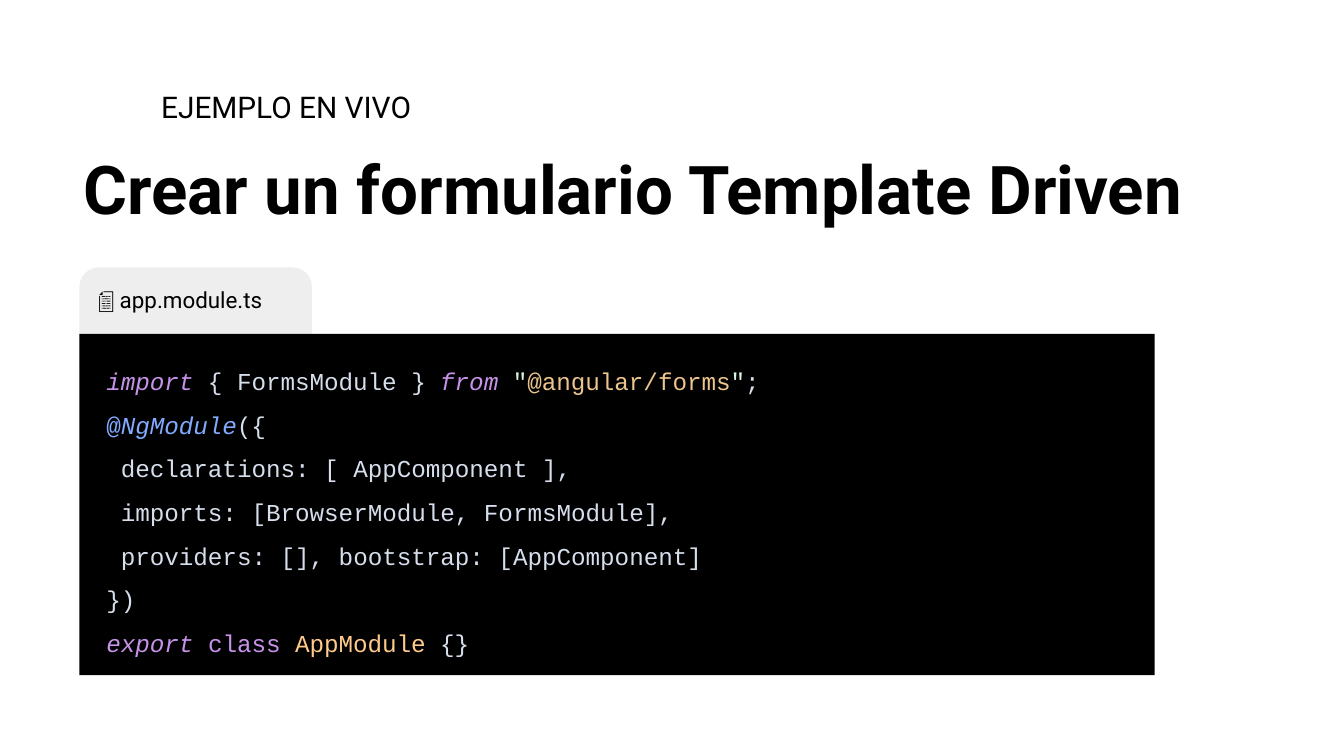
"""Build a slide showing an Angular module as a code file with a tab."""
from pptx import Presentation
from pptx.dml.color import RGBColor
from pptx.enum import shapes, text
from pptx.util import Pt

TITLE = "Crear un formulario Template Driven"
KICKER = "EJEMPLO EN VIVO"
FILE_NAME = "📄 app.module.ts"
CODE = [
    [("import", "keyword"), (" { FormsModule } ", "plain"), ("from ", "keyword"),
     ('"', "quote"), ("@angular/forms", "string"), ('"', "quote"), (";", "plain")],
    [("@", "at"), ("NgModule", "decorator"), ("({", "plain")],
    [(" declarations: [ AppComponent ],", "plain")],
    [(" imports: [BrowserModule, FormsModule],", "plain")],
    [(" providers: [], bootstrap: [AppComponent]", "plain")],
    [("})", "plain")],
    [("export ", "keyword"), ("class ", "storage"), ("AppModule", "type"), (" {}", "plain")],
]

THEME = {
    "sans": "Roboto", "mono": "Courier New",
    "title": 36, "kicker": 16, "file": 12, "code": 13,
    "ink": "000000", "tab": "EEEEEE", "panel": "000000",
    "syntax": {
        "plain": ("D6DEEB", False), "keyword": ("C792EA", True),
        "storage": ("C792EA", False), "quote": ("D9F5DD", False),
        "string": ("ECC48D", False), "at": ("82AAFF", False),
        "decorator": ("82AAFF", True), "type": ("FFCB8B", False),
    },
}

SLIDE_SIZE = (720, 405)
PAD = 7.2
PANEL_LEFT = 42.6
TITLE_BOX = (37.44, 76.6, 645.12, 54)
KICKER_BOX = (79.3, 40.32, 158.4, 33.84)
TAB_BOX = (PANEL_LEFT, 143.28, 124.56, 61.92)
PANEL_BOX = (PANEL_LEFT, 178.9, 576, 182.8)


def color(name):
    return RGBColor.from_string(THEME.get(name, name))


def set_frame(shape, anchor=text.MSO_ANCHOR.TOP, left=PAD, top=PAD):
    frame = shape.text_frame
    frame.word_wrap = True
    frame.auto_size = text.MSO_AUTO_SIZE.NONE
    frame.vertical_anchor = anchor
    frame.margin_left, frame.margin_top = Pt(left), Pt(top)
    frame.margin_right = frame.margin_bottom = Pt(PAD)
    return frame


def write_line(frame, words, size, bold=False):
    line = frame.paragraphs[0]
    line.text = words
    line.alignment = text.PP_ALIGN.LEFT
    line.font.name, line.font.size = THEME["sans"], Pt(THEME[size])
    line.font.bold = bold
    line.font.color.rgb = color("ink")
    return line


def add_block(slide, kind, box, fill):
    block = slide.shapes.add_shape(kind, *map(Pt, box))
    block.shadow.inherit = False
    block.fill.solid()
    block.fill.fore_color.rgb = color(fill)
    block.line.fill.background()
    return block


def write_code(frame):
    for number, tokens in enumerate(CODE):
        line = frame.add_paragraph() if number else frame.paragraphs[0]
        line.alignment = text.PP_ALIGN.LEFT
        line.line_spacing = 1.5
        line.font.name, line.font.size = THEME["mono"], Pt(THEME["code"])
        for words, role in tokens:
            token = line.add_run()
            token.text = words
            tint, token.font.italic = THEME["syntax"][role]
            token.font.color.rgb = color(tint)


def main():
    deck = Presentation()
    deck.slide_width, deck.slide_height = map(Pt, SLIDE_SIZE)
    slide = deck.slides.add_slide(deck.slide_layouts.get_by_name("Title Only"))

    title = slide.shapes.title
    title.left, title.top, title.width, title.height = map(Pt, TITLE_BOX)
    write_line(set_frame(title), TITLE, "title", bold=True).line_spacing = 0.9

    kicker = slide.shapes.add_textbox(*map(Pt, KICKER_BOX))
    write_line(set_frame(kicker), KICKER, "kicker")

    tab = add_block(slide, shapes.MSO_SHAPE.ROUNDED_RECTANGLE, TAB_BOX, "tab")
    write_line(set_frame(tab, top=6.8), FILE_NAME, "file")

    panel = add_block(slide, shapes.MSO_SHAPE.RECTANGLE, PANEL_BOX, "panel")
    write_code(set_frame(panel, text.MSO_ANCHOR.MIDDLE, left=2 * PAD))

    deck.save("out.pptx")


if __name__ == "__main__":
    main()
